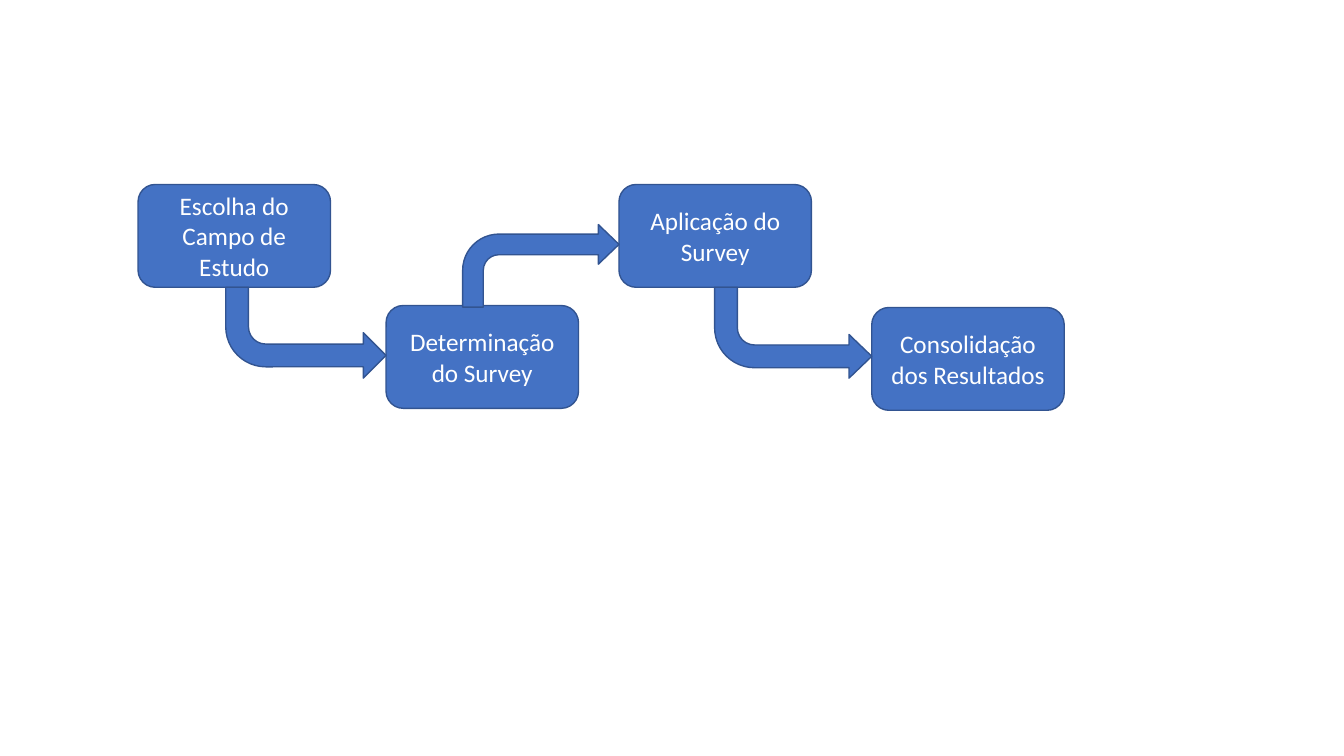
from pptx import Presentation
from pptx.dml.color import RGBColor
from pptx.enum.shapes import MSO_SHAPE
from pptx.enum.text import MSO_ANCHOR, PP_ALIGN
from pptx.util import Cm, Pt

ROUNDED, BENT = MSO_SHAPE.ROUNDED_RECTANGLE, MSO_SHAPE.BENT_ARROW
MIDDLE, CENTER = MSO_ANCHOR.MIDDLE, PP_ALIGN.CENTER

# Lengths in cm: text, left, top
STEPS = [
    ("Escolha do Campo de Estudo", 3.48, 4.65),
    ("Determinação do Survey", 9.73, 7.7),
    ("Aplicação do Survey", 15.6, 4.65),
    ("Consolidação dos Resultados", 21.97, 7.75),
]
# Arrow start from the left edge of its step, and thickness-to-head proportions
ARROWS = [
    (2.21, (0.25, 0.25, 0.25, 0.44)),
    (1.93, (0.25, 0.24, 0.25, 0.44)),
    (2.41, (0.25, 0.24, 0.25, 0.44)),
]
BOX_W, BOX_H = 4.85, 2.59
DOWN_H, UP_H, OVERLAP = 2.29, 2.08, 0.04
BLUE, DARK_BLUE, WHITE = "4472C4", "325491", "FFFFFF"


def color(value):
    """Turn a hex string into a colour."""
    return RGBColor.from_string(value)


def add_shape(s, kind, left, top, width, height):
    """Add a blue outlined shape, placed in cm."""
    sp = s.shapes.add_shape(kind, Cm(left), Cm(top), Cm(width), Cm(height))
    sp.shadow.inherit = False
    sp.fill.solid()
    sp.fill.fore_color.rgb = color(BLUE)
    sp.line.color.rgb = color(DARK_BLUE)
    sp.line.width = Pt(1)
    return sp


def set_text(sp, text, size=18, font="Calibri", fill=WHITE, align=CENTER):
    """Write formatted text in the middle of a shape."""
    tf = sp.text_frame
    tf.word_wrap = True
    tf.vertical_anchor = MIDDLE
    p = tf.paragraphs[0]
    p.alignment = align
    r = p.add_run()
    r.text = text
    r.font.size = Pt(size)
    r.font.name = font
    r.font.color.rgb = color(fill)


def add_arrow(s, step, following, offset, proportions):
    """Bend an arrow from one step to the left side of the next."""
    _, left, top = step
    _, next_left, next_top = following
    start = left + offset
    down = next_top > top
    height = DOWN_H if down else UP_H
    arrow_top = top + BOX_H if down else top + OVERLAP - UP_H
    sp = add_shape(s, BENT, start, arrow_top, next_left - start, height)
    for i, value in enumerate(proportions):
        sp.adjustments[i] = value
    if down:
        sp.element.spPr.xfrm.set("flipV", "1")


prs = Presentation()
prs.slide_width, prs.slide_height = Cm(33.87), Cm(19.05)
s = prs.slides.add_slide(prs.slide_layouts[6])

for text, left, top in STEPS:
    set_text(add_shape(s, ROUNDED, left, top, BOX_W, BOX_H), text)
for step, following, (offset, proportions) in zip(STEPS, STEPS[1:], ARROWS):
    add_arrow(s, step, following, offset, proportions)

prs.save("out.pptx")
